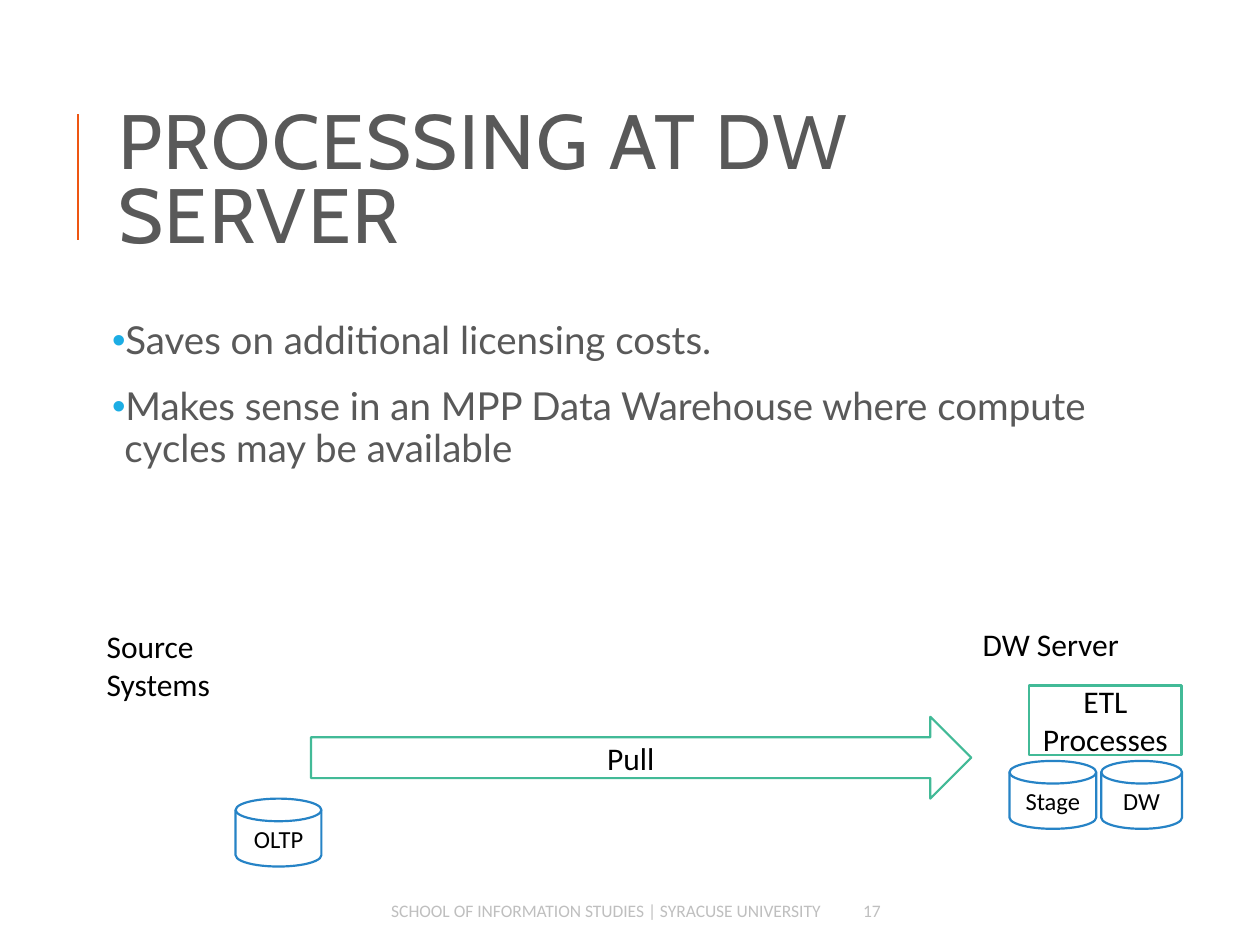
from dataclasses import dataclass

import pptx
import pptx.dml.color
import pptx.enum.shapes
import pptx.enum.text
import pptx.oxml.ns
import pptx.util
from lxml import etree

Cm, Pt = pptx.util.Cm, pptx.util.Pt
RGB = pptx.dml.color.RGBColor.from_string
SHAPE = pptx.enum.shapes.MSO_SHAPE
ALIGN = pptx.enum.text.PP_ALIGN
ANCHOR = pptx.enum.text.MSO_ANCHOR
qn = pptx.oxml.ns.qn


@dataclass(frozen=True)
class Theme:
    ink: str = "000000"
    grey: str = "595959"
    pale: str = "BFBFBF"
    white: str = "FFFFFF"
    bar: str = "EE5612"
    bullet: str = "1CADE4"
    store: str = "2683C6"
    process: str = "42BA97"
    title_size: int = 44
    body_size: int = 22
    label_size: int = 18
    store_size: int = 14
    footer_size: int = 10
    title_font: str = "Cabin"
    body_font: str = "Lato"
    label_font: str = "Calibri"


T = Theme()


def write(p, text, font, size, color, **formats):
    """Put one run into p; formats are paragraph attributes."""
    for name, value in formats.items():
        setattr(p, name, value)
    r = p.add_run()
    r.text = text
    for name, value in dict(name=font, size=Pt(size)).items():
        setattr(r.font, name, value)
    r.font.color.rgb = RGB(color)
    return r


def add_box(box, anchor=ANCHOR.TOP):
    """Add a wrapping text box and return its text frame."""
    tf = s.shapes.add_textbox(*map(Cm, box)).text_frame
    tf.word_wrap = True
    tf.vertical_anchor = anchor
    return tf


prs = pptx.Presentation()
prs.slide_width, prs.slide_height = Cm(25.4), Cm(19.05)
s = prs.slides.add_slide(prs.slide_layouts[6])

# Title with its accent bar
bar = s.shapes.add_connector(
    pptx.enum.shapes.MSO_CONNECTOR.STRAIGHT, Cm(1.57), Cm(4.83), Cm(1.57), Cm(2.29))
bar.line.color.rgb = RGB(T.bar)
bar.line.width = Pt(1.5)
etree.SubElement(bar._element.spPr, qn("a:effectLst"))

tf = add_box((2.13, 1.63, 20.24, 4.17), ANCHOR.MIDDLE)
r = write(tf.paragraphs[0], "PROCESSING AT DW SERVER",
          T.title_font, T.title_size, T.grey, line_spacing=0.8)
r._r.get_or_add_rPr().set("spc", "100")

# Bullets
tf = add_box((2.13, 6.35, 20.24, 11.18))
for side in ("left", "top", "right", "bottom"):
    setattr(tf, f"margin_{side}", Cm(0.13))
bullets = [
    "Saves on additional licensing costs.",
    "Makes sense in an MPP Data Warehouse where compute cycles may be available",
]
for i, text in enumerate(bullets):
    p = tf.add_paragraph() if i else tf.paragraphs[0]
    pPr = p._p.get_or_add_pPr()
    pPr.set("marL", str(Cm(0.25)))
    pPr.set("indent", str(-Cm(0.25)))
    color = etree.SubElement(pPr, qn("a:buClr"))
    etree.SubElement(color, qn("a:srgbClr"), val=T.bullet)
    etree.SubElement(pPr, qn("a:buFont"), typeface="Arial")
    etree.SubElement(pPr, qn("a:buChar"), char="•")
    write(p, text, T.body_font, T.body_size, T.grey, line_spacing=0.9,
          space_before=Pt(12 if i else 0), space_after=Pt(2))

# Footer
footers = [
    ("SCHOOL OF INFORMATION STUDIES | SYRACUSE UNIVERSITY", 4.8, 11.99, ALIGN.RIGHT),
    ("17", 17.15, 2.31, ALIGN.LEFT),
]
for text, x, w, align in footers:
    tf = add_box((x, 17.98, w, 0.76), ANCHOR.MIDDLE)
    write(tf.paragraphs[0], text, T.label_font, T.footer_size, T.pale, alignment=align)

# Data flow diagram
DISK = SHAPE.FLOWCHART_MAGNETIC_DISK
nodes = [
    ("Stage", DISK, (20.35, 15.34, 1.75, 1.37), T.store, T.store_size),
    ("DW", DISK, (22.2, 15.34, 1.63, 1.37), T.store, T.store_size),
    ("OLTP", DISK, (4.75, 16.1, 1.73, 1.37), T.store, T.store_size),
    ("Pull", SHAPE.RIGHT_ARROW, (6.27, 14.45, 13.31, 1.65), T.process, T.label_size),
    ("ETL Processes", SHAPE.RECTANGLE, (20.75, 13.82, 3.07, 1.4), T.process, T.label_size),
]
for text, kind, box, color, size in nodes:
    sp = s.shapes.add_shape(kind, *map(Cm, box))
    sp.shadow.inherit = False
    sp.fill.solid()
    sp.fill.fore_color.rgb = RGB(T.white)
    sp.line.color.rgb = RGB(color)
    sp.line.width = Pt(1.25)
    tf = sp.text_frame
    tf.word_wrap = True
    tf.vertical_anchor = ANCHOR.MIDDLE
    write(tf.paragraphs[0], text, T.label_font, size, T.ink, alignment=ALIGN.CENTER)

labels = [
    ("Source Systems", (1.9, 12.52, 4.39, 1.02)),
    ("DW Server", (19.56, 12.47, 3.38, 1.02)),
]
for text, box in labels:
    write(add_box(box).paragraphs[0], text, T.label_font, T.label_size, T.ink)

prs.save("out.pptx")
